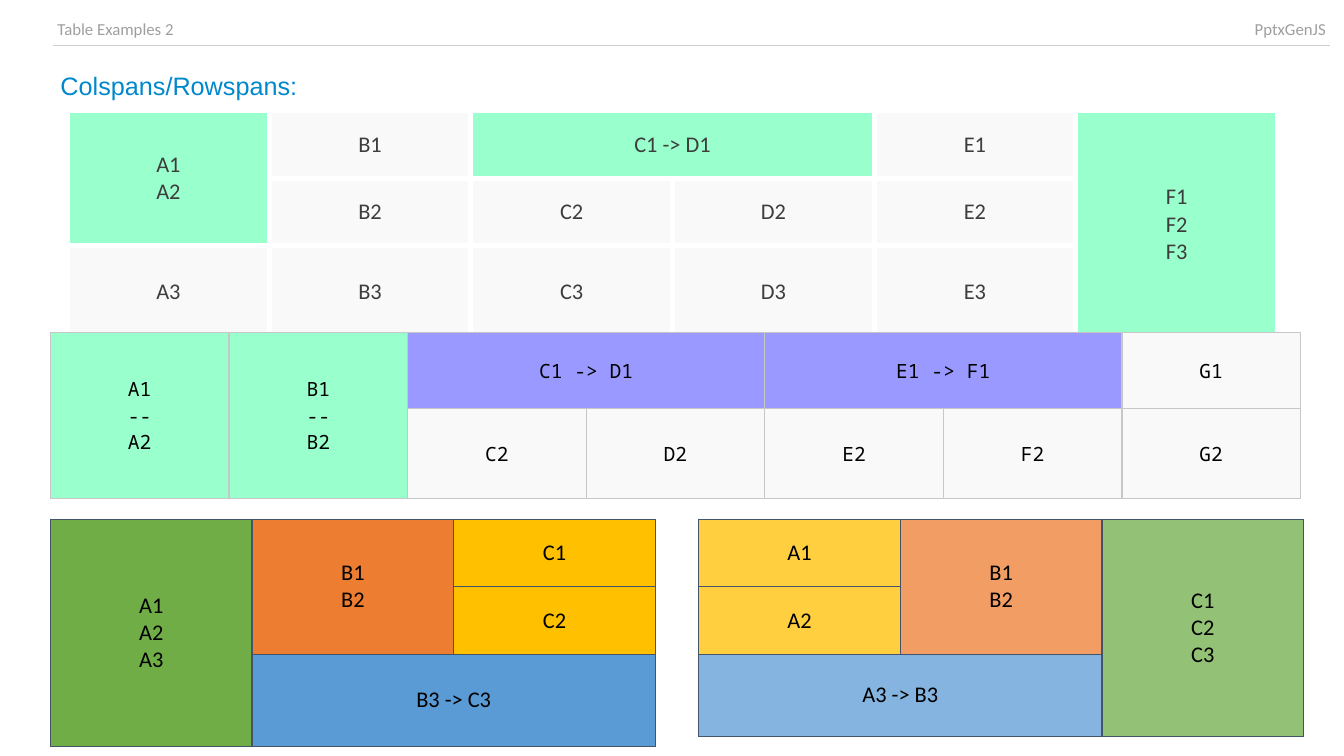
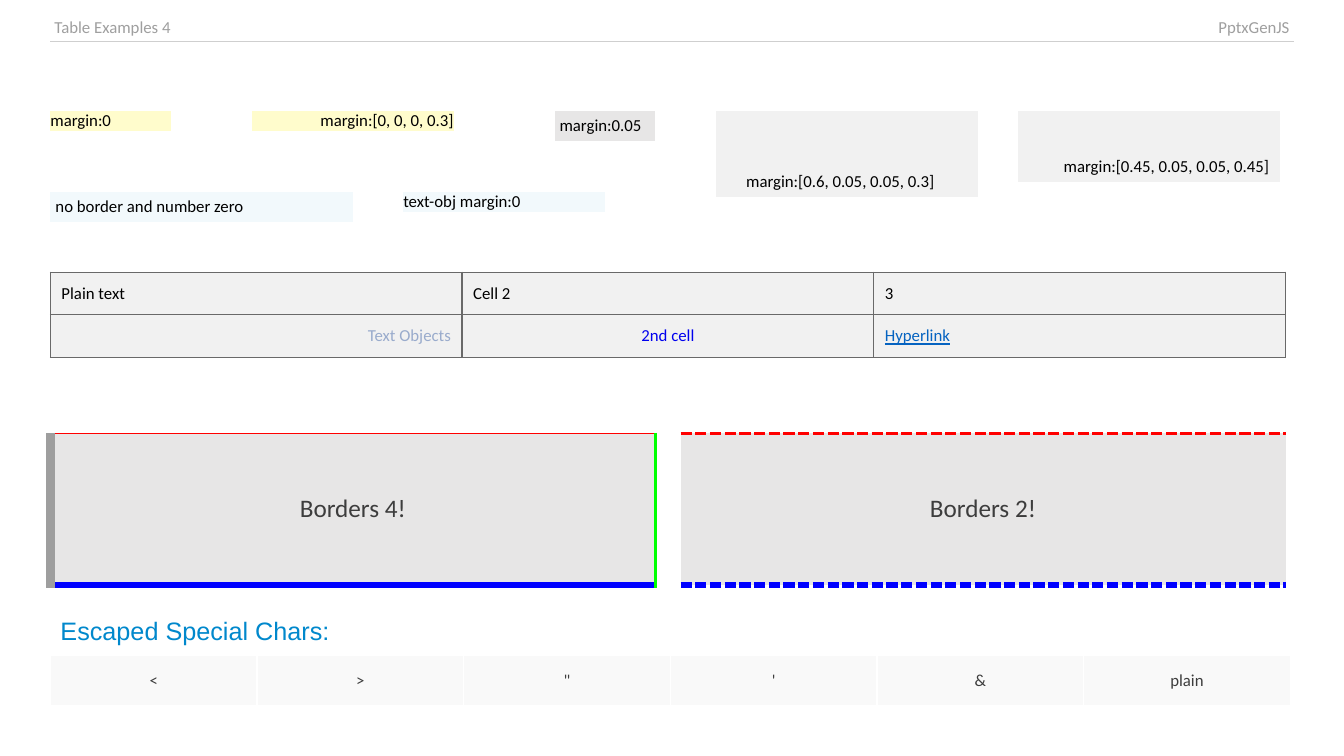
from dataclasses import dataclass, field

from lxml import etree
from pptx import Presentation
from pptx.dml.color import RGBColor
from pptx.enum.text import MSO_ANCHOR, MSO_AUTO_SIZE, PP_ALIGN
from pptx.oxml.ns import qn
from pptx.util import Inches, Pt

LEFT, CENTER, RIGHT = PP_ALIGN.LEFT, PP_ALIGN.CENTER, PP_ALIGN.RIGHT
TOP, MIDDLE = MSO_ANCHOR.TOP, MSO_ANCHOR.MIDDLE
NO_AUTOFIT = MSO_AUTO_SIZE.NONE
TITLE_ONLY = 5
SIDES = "LRTB"

BLACK, WHITE, DARK = "000000", "FFFFFF", "3D3D3D"
TITLE_BLUE, HEADER_GRAY, RULE_GRAY = "0088CC", "9F9F9F", "CFCFCF"
MINT, LILAC, PALE = "99FFCC", "9999FF", "F9F9F9"
GREEN, ORANGE, GOLD, BLUE = "70AD47", "ED7D31", "FFC000", "5B9BD5"
YELLOW, ICE, LIGHT, SILVER = "FFFCCC", "F2F9FC", "F1F1F1", "E7E6E6"


def color(hex_string):
    return RGBColor.from_string(hex_string)


def box(*lengths):
    return [Inches(length) for length in lengths]


def all_sides(hex_string, width):
    return {side: (hex_string, width, "solid") for side in SIDES}


@dataclass
class Cell:
    text: str
    fill: str = None
    rows: int = 1
    columns: int = 1
    align: PP_ALIGN = None
    color: str = None
    underline: bool = None


@dataclass
class TableStyle:
    size: int = 12
    font: str = "Calibri"
    color: str = BLACK
    align: PP_ALIGN = LEFT
    anchor: MSO_ANCHOR = TOP
    margins: tuple = (0.1, 0.05, 0.1, 0.05)  # left, top, right, bottom
    borders: dict = field(default_factory=dict)
    opacity: int = 100


class Deck:
    def __init__(self):
        self.presentation = Presentation()
        self.presentation.slide_width = Inches(13.33)
        self.presentation.slide_height = Inches(7.5)
        self.slide = None

    def new_slide(self, title, title_top):
        layout = self.presentation.slide_layouts[TITLE_ONLY]
        self.slide = self.presentation.slides.add_slide(layout)
        shape = self.slide.shapes.title
        shape.left, shape.top, shape.width, shape.height = box(0.5, title_top, 4, 0.3)
        shape.fill.solid()
        shape.fill.fore_color.rgb = color(WHITE)
        frame = shape.text_frame
        settings = {"word_wrap": True, "auto_size": NO_AUTOFIT, "vertical_anchor": MIDDLE}
        for name, value in settings.items():
            setattr(frame, name, value)
        self.add_text(frame, title, TableStyle(18, "Arial", TITLE_BLUE))

    def header(self, text, left, top, columns, height):
        style = TableStyle(color=HEADER_GRAY, margins=(0.04,) * 4,
                           borders={"B": (RULE_GRAY, 1, "solid")})
        self.table(left, top, columns, [height],
                   [[Cell(text), Cell("PptxGenJS", align=RIGHT)]], style)

    def add_text(self, frame, text, style, align=None, text_color=None, underline=None):
        formats = {"name": style.font, "size": Pt(style.size),
                   "bold": False, "underline": underline}
        for index, line in enumerate(text.split("\n")):
            paragraph = frame.paragraphs[0] if index == 0 else frame.add_paragraph()
            paragraph.alignment = align or style.align
            if not line:
                end = paragraph._p.get_or_add_endParaRPr()
                end.set("sz", str(style.size * 100))
                continue
            run = paragraph.add_run()
            run.text = line
            for name, value in formats.items():
                setattr(run.font, name, value)
            run.font.color.rgb = color(text_color or style.color)

    def set_borders(self, cell, borders):
        properties = cell._tc.get_or_add_tcPr()
        for index, side in enumerate(SIDES):
            line = etree.Element(qn("a:ln" + side))
            properties.insert(index, line)
            if side not in borders:
                line.set("w", "0")
                etree.SubElement(line, qn("a:noFill"))
                continue
            hex_string, width, dash = borders[side]
            line.set("w", str(Pt(width)))
            fill = etree.SubElement(line, qn("a:solidFill"))
            etree.SubElement(fill, qn("a:srgbClr"), val=hex_string)
            etree.SubElement(line, qn("a:prstDash"), val=dash)

    def set_fill(self, cell, hex_string, opacity):
        if hex_string is None:
            cell.fill.background()
            return
        cell.fill.solid()
        cell.fill.fore_color.rgb = color(hex_string)
        if opacity < 100:
            solid = cell._tc.tcPr.find(qn("a:solidFill"))
            etree.SubElement(solid[0], qn("a:alpha"), val=str(opacity * 1000))

    def table(self, left, top, columns, rows, cells, style):
        """Cells are given row by row; None stands for a merged place."""
        frame = self.slide.shapes.add_table(
            len(rows), len(columns), *box(left, top, sum(columns), sum(rows)))
        table = frame.table
        table.first_row = table.horz_banding = False
        for column, width in zip(table.columns, columns):
            column.width = Inches(width)
        for row, height in zip(table.rows, rows):
            row.height = Inches(height)
        for r, line in enumerate(cells):
            for c, item in enumerate(line):
                cell = table.cell(r, c)
                self.set_borders(cell, style.borders)
                self.set_fill(cell, item and item.fill, style.opacity)
                if item is None:
                    continue
                sides = ("left", "top", "right", "bottom")
                for side, margin in zip(sides, style.margins):
                    setattr(cell, "margin_" + side, Inches(margin))
                cell.vertical_anchor = style.anchor
                self.add_text(cell.text_frame, item.text, style,
                              item.align, item.color, item.underline)
                if item.rows * item.columns > 1:
                    cell.merge(table.cell(r + item.rows - 1, c + item.columns - 1))


def pale_cells(*texts):
    return [Cell(text, PALE) for text in texts]


def build_spans_slide(deck):
    deck.new_slide("Colspans/Rowspans:", 0.7)
    deck.header("Table Examples 2", 0.53, 0.15, [6.33] * 2, 0.3)
    centered = {"align": CENTER, "anchor": MIDDLE}

    # White-ruled table
    deck.table(0.67, 1.1, [2] * 6, [0.67, 0.67, 0.91], [
        [Cell("A1\nA2", MINT, rows=2), Cell("B1", PALE), Cell("C1 -> D1", MINT, columns=2),
         None, Cell("E1", PALE), Cell("F1\nF2\nF3", MINT, rows=3)],
        [None, *pale_cells("B2", "C2", "D2", "E2"), None],
        [*pale_cells("A3", "B3", "C3", "D3", "E3"), None],
    ], TableStyle(16, color=DARK, borders=all_sides(WHITE, 4), **centered))

    # Monospaced table
    deck.table(0.5, 3.3, [12.4 / 7] * 7, [0.75, 0.89], [
        [Cell("A1\n--\nA2", MINT, rows=2), Cell("B1\n--\nB2", MINT, rows=2),
         Cell("C1 -> D1", LILAC, columns=2), None,
         Cell("E1 -> F1", LILAC, columns=2), None, Cell("G1", PALE)],
        [None, None, *pale_cells("C2", "D2", "E2", "F2", "G2")],
    ], TableStyle(14, "Noto Sans Mono", borders=all_sides("C7C7C7", 1), **centered))

    # Coloured tables, solid and translucent
    slate = all_sides("44546A", 1)
    deck.table(0.5, 5.15, [2] * 3, [0.67, 0.67, 0.91], [
        [Cell("A1\nA2\nA3", GREEN, rows=3), Cell("B1\nB2", ORANGE, rows=2), Cell("C1", GOLD)],
        [None, None, Cell("C2", GOLD)],
        [None, Cell("B3 -> C3", BLUE, columns=2), None],
    ], TableStyle(16, margins=(0.05,) * 4, borders=slate, **centered))
    deck.table(6.93, 5.15, [2] * 3, [0.67, 0.67, 0.81], [
        [Cell("A1", GOLD), Cell("B1\nB2", ORANGE, rows=2), Cell("C1\nC2\nC3", GREEN, rows=3)],
        [Cell("A2", GOLD), None, None],
        [Cell("A3 -> B3", BLUE, columns=2), None, None],
    ], TableStyle(16, margins=(0,) * 4, borders=slate, opacity=75, **centered))


def build_margins_slide(deck):
    deck.new_slide("Escaped Special Chars:", 6.1)
    deck.header("Table Examples 4", 0.5, 0.13, [9, 3.33], 0.28)

    # Margin samples: left, top, width, height, text, fill, margins, alignment
    none, small = (0,) * 4, (0.05,) * 4
    samples = [
        (0.5, 1.1, 1.2, 0.2, "margin:0", YELLOW, none, LEFT),
        (2.5, 1.1, 2, 0.2, "margin:[0, 0, 0, 0.3]", YELLOW, (0.3, 0, 0, 0), RIGHT),
        (5.5, 1.1, 1, 0.3, "margin:0.05", SILVER, small, LEFT),
        (7.1, 1.1, 2.6, 0.85, "margin:[0.6, 0.05, 0.05, 0.3]", LIGHT,
         (0.3, 0.6, 0.05, 0.05), LEFT),
        (10.1, 1.1, 2.6, 0.7, "margin:[0.45, 0.05, 0.05, 0.45]", LIGHT,
         (0.45, 0.45, 0.05, 0.05), LEFT),
        (4, 1.9, 2, 0.2, "text-obj margin:0", ICE, none, LEFT),
    ]
    for left, top, width, height, text, fill, margins, align in samples:
        deck.table(left, top, [width], [height], [[Cell(text, fill)]],
                   TableStyle(margins=margins, align=align))
    deck.table(0.5, 1.9, [2.5, 0.5], [0.3],
               [[Cell("no border and number zero", ICE), Cell("", ICE)]],
               TableStyle(margins=small))

    # Text formats
    deck.table(0.5, 2.7, [12.25 / 3] * 3, [0.42] * 2, [
        [Cell(text, LIGHT) for text in ("Plain text", "Cell 2", "3")],
        [Cell("Text Objects", LIGHT, align=RIGHT, color="99ABCC"),
         Cell("2nd cell", LIGHT, align=CENTER, color="0000EE"),
         Cell("Hyperlink", LIGHT, color="0563C1", underline=True)],
    ], TableStyle(margins=(0.11,) * 4, borders=all_sides("696969", 1)))

    # Border samples
    four_borders = {"L": ("9E9E9E", 7, "solid"), "T": ("FF0000", 1, "solid"),
                    "R": ("00FF00", 3, "solid"), "B": ("0000FF", 5, "solid")}
    two_borders = {"T": ("FF0000", 2, "sysDash"), "B": ("0000FF", 5, "sysDash")}
    centered = {"color": DARK, "align": CENTER, "anchor": MIDDLE}
    for left, text, borders in ((0.5, "Borders 4!", four_borders),
                                (6.75, "Borders 2!", two_borders)):
        deck.table(left, 4.3, [6], [1.5], [[Cell(text, SILVER)]],
                   TableStyle(18, borders=borders, **centered))

    # Special characters
    deck.table(0.5, 6.5, [2.05] * 6, [0.5],
               [pale_cells("<", ">", '"', "'", "&", "plain")],
               TableStyle(borders=all_sides(WHITE, 1), **centered))


def main():
    deck = Deck()
    build_spans_slide(deck)
    build_margins_slide(deck)
    deck.presentation.save("out.pptx")


if __name__ == "__main__":
    main()
